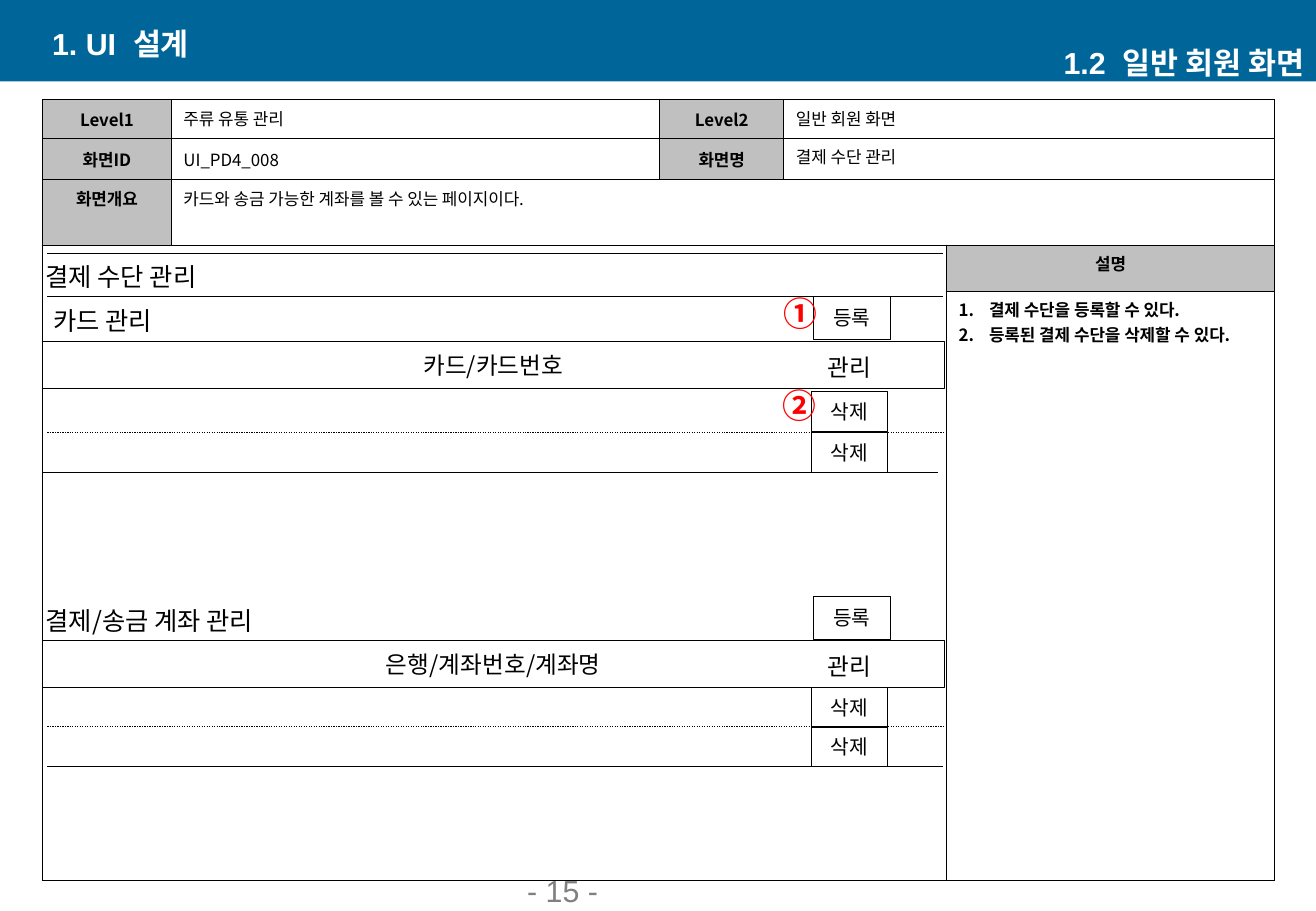
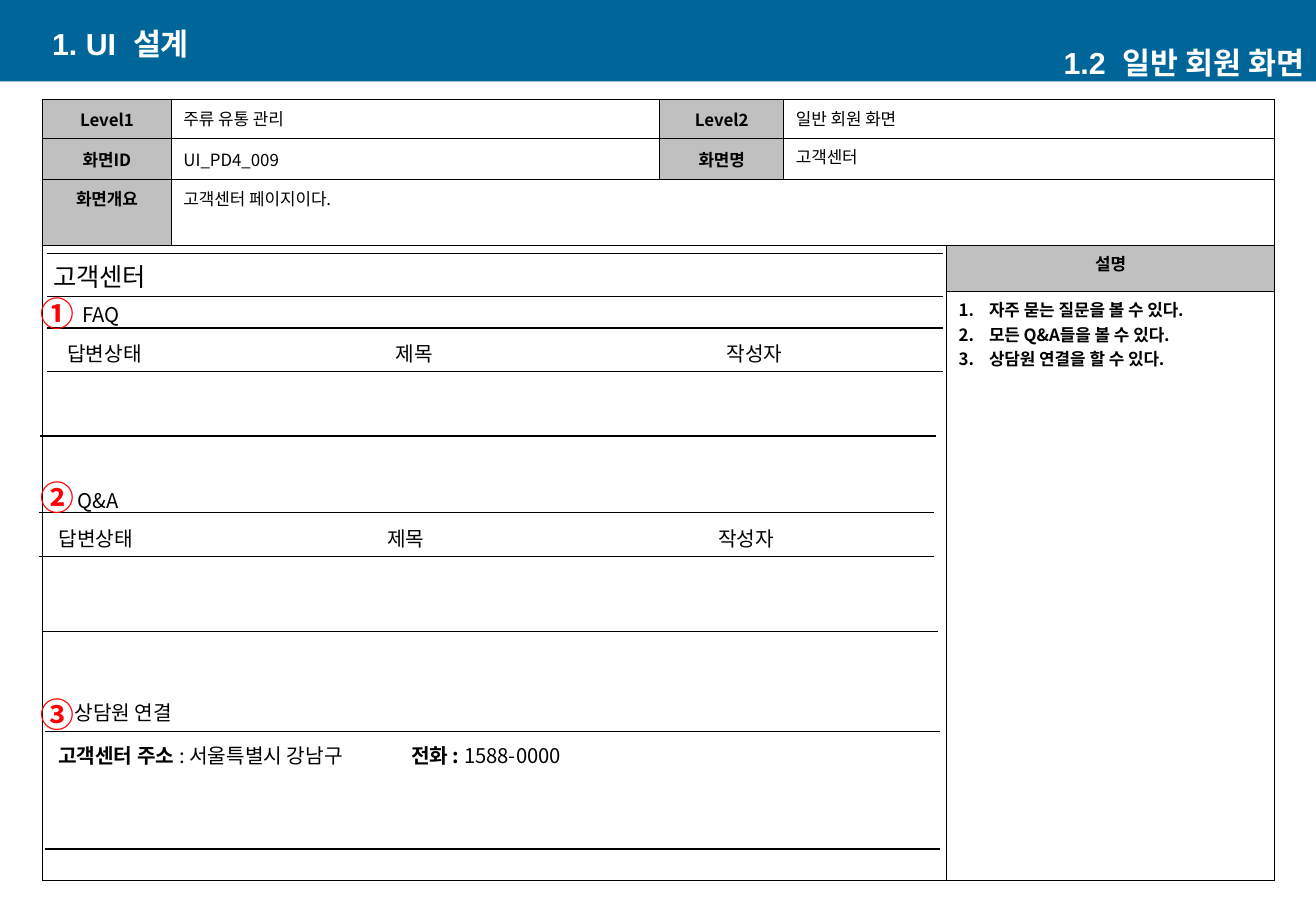
"""Build two screen-design slides that share a header band and a specification table."""
from dataclasses import dataclass

import pptx
from lxml import etree
from pptx import slide as sl
from pptx import table as tb
from pptx import util as u
from pptx.dml import color
from pptx.enum import dml, shapes, text
from pptx.oxml import ns
from pptx.shapes import autoshape
from pptx.text import text as tx

BLACK, WHITE, RED = "000000", "FFFFFF", "FF0000"
BAND, HEADING_FILL, PAGE_GREY = "006699", "C0C0C0", "808080"
KOREAN, LATIN = "Noto Sans CJK KR", "Arial"
SLIDE_WIDTH, SLIDE_HEIGHT = 10.83, 7.5
RULE_LENGTH = 7.37
COLUMN_WIDTHS = (1.06, 4.02, 1.02, 1.34, 2.70)
ROW_HEIGHTS = (0.32, 0.34, 0.54, 0.38, 4.85)
MERGES = (((0, 3), (0, 4)), ((1, 3), (1, 4)), ((2, 1), (2, 4)), ((3, 0), (4, 3)))
BOARD_COLUMNS = (("답변상태", -0.24), ("제목", 2.31), ("작성자", 5.11))
LEFT, CENTER, RIGHT = text.PP_ALIGN.LEFT, text.PP_ALIGN.CENTER, text.PP_ALIGN.RIGHT
TOP, MIDDLE, BOTTOM = text.MSO_ANCHOR.TOP, text.MSO_ANCHOR.MIDDLE, text.MSO_ANCHOR.BOTTOM


@dataclass(frozen=True)
class Run:
    """A stretch of text in one style."""
    content: str
    size: float = 10
    bold: bool = False
    colour: str = BLACK
    font: str = KOREAN
    spacing: int = 0


@dataclass(frozen=True)
class Box:
    """A rectangle in inches."""
    left: float
    top: float
    width: float
    height: float


@dataclass(frozen=True)
class Label:
    """Centred text in a box."""
    box: Box
    runs: tuple[Run, ...]


@dataclass(frozen=True)
class Rule:
    """A horizontal line across the mock-up."""
    left: float
    top: float
    dotted: bool = False


@dataclass(frozen=True)
class Specification:
    """The texts that differ between specification tables."""
    screen_id: str
    screen_name: str
    overview: str
    notes: tuple[str, ...]


@dataclass(frozen=True)
class PaymentSection:
    """A list of payment methods with its buttons."""
    register_top: float
    header_top: float
    header: str
    delete_tops: tuple[float, float]
    end_left: float


@dataclass(frozen=True)
class Board:
    """A list of posts between rules."""
    left: float
    top: float
    end: Rule


def rgb(value: str) -> color.RGBColor:
    """Turn a hex string into a colour."""
    return color.RGBColor.from_string(value)


def add_runs(paragraph: tx._Paragraph, runs: tuple[Run, ...]) -> None:
    """Append styled runs to a paragraph."""
    for item in runs:
        run = paragraph.add_run()
        run.text = item.content
        run.font.size = u.Pt(item.size)
        run.font.bold = item.bold
        run.font.color.rgb = rgb(item.colour)
        run.font.name = item.font
        properties = run._r.get_or_add_rPr()
        etree.SubElement(properties, ns.qn("a:ea"), typeface=KOREAN)
        if item.spacing:
            properties.set("spc", str(item.spacing))


def inches(box: Box) -> tuple[u.Inches, ...]:
    """Give the box as lengths."""
    return tuple(u.Inches(side) for side in (box.left, box.top, box.width, box.height))


def add_text(slide: sl.Slide, box: Box, runs: tuple[Run, ...],
             align: text.PP_ALIGN = CENTER, anchor: text.MSO_ANCHOR = TOP) -> None:
    """Place a text box."""
    frame = slide.shapes.add_textbox(*inches(box)).text_frame
    frame.word_wrap = True
    frame.vertical_anchor = anchor
    if align == CENTER:
        frame.margin_left = frame.margin_right = 0
    frame.paragraphs[0].alignment = align
    add_runs(frame.paragraphs[0], runs)


def add_rectangle(slide: sl.Slide, box: Box) -> autoshape.Shape:
    """Place an empty rectangle without shadow."""
    shape = slide.shapes.add_shape(shapes.MSO_SHAPE.RECTANGLE, *inches(box))
    shape.shadow.inherit = False
    return shape


def add_frame(slide: sl.Slide, box: Box, run: Run) -> None:
    """Place a thin outlined rectangle with centred text."""
    shape = add_rectangle(slide, box)
    shape.fill.background()
    shape.line.color.rgb = rgb(BLACK)
    shape.line.width = u.Pt(0.25)
    frame = shape.text_frame
    frame.vertical_anchor = MIDDLE
    frame.paragraphs[0].alignment = CENTER
    add_runs(frame.paragraphs[0], (run,))


def add_rule(slide: sl.Slide, rule: Rule) -> None:
    """Draw a horizontal line."""
    left, top = u.Inches(rule.left), u.Inches(rule.top)
    connector = slide.shapes.add_connector(
        shapes.MSO_CONNECTOR.STRAIGHT, left, top, left + u.Inches(RULE_LENGTH), top)
    connector.line.color.rgb = rgb(BLACK)
    connector.line.width = u.Pt(0.75)
    if rule.dotted:
        connector.line.dash_style = dml.MSO_LINE.ROUND_DOT
    etree.SubElement(connector._element.spPr, ns.qn("a:effectLst"))


def add_marker(slide: sl.Slide, left: float, top: float, number: str) -> None:
    """Place a red circled number."""
    add_text(slide, Box(left, top, 0.44, 0.44), (Run(number, 20, True, RED),))


def add_band(slide: sl.Slide, layout: sl.SlideLayout) -> None:
    """Draw the header band and move it to the layout."""
    band = add_rectangle(slide, Box(0, 0, SLIDE_WIDTH, 0.67))
    band.fill.solid()
    band.fill.fore_color.rgb = rgb(BAND)
    band.line.fill.background()
    layout.shapes._spTree.append(band._element)


def add_titles(slide: sl.Slide) -> None:
    """Write the chapter and section titles on the band."""
    titles = ((0.33, 0.19, "1. UI", "설계", LEFT), (6.45, 0.35, "1.2", "일반 회원 화면", RIGHT))
    for left, top, number, words, align in titles:
        runs = (Run(number, 18, True, WHITE, LATIN), Run(" ", 18, True, WHITE, LATIN, 500),
                Run(words, 18, True, WHITE, LATIN))
        add_text(slide, Box(left, top, 4.38, 0.33), runs, align, MIDDLE)


def style_cell(cell: tb._Cell, filled: bool) -> None:
    """Set the fill and black borders of a cell."""
    if filled:
        cell.fill.solid()
        cell.fill.fore_color.rgb = rgb(HEADING_FILL)
    else:
        cell.fill.background()
    properties = cell._tc.get_or_add_tcPr()
    for index, side in enumerate(("lnL", "lnR", "lnT", "lnB")):
        border = etree.Element(ns.qn(f"a:{side}"), w=str(u.Pt(1)))
        fill = etree.SubElement(border, ns.qn("a:solidFill"))
        etree.SubElement(fill, ns.qn("a:srgbClr"), val=BLACK)
        properties.insert(index, border)


def add_specification(slide: sl.Slide, specification: Specification) -> None:
    """Draw the specification table."""
    box = Box(0.35, 0.82, sum(COLUMN_WIDTHS), sum(ROW_HEIGHTS))
    table = slide.shapes.add_table(len(ROW_HEIGHTS), len(COLUMN_WIDTHS), *inches(box)).table
    table.first_row = table.horz_banding = False
    for column, width in zip(table.columns, COLUMN_WIDTHS):
        column.width = u.Inches(width)
    for row, height in zip(table.rows, ROW_HEIGHTS):
        row.height = u.Inches(height)

    headings = {(0, 0): "Level1", (0, 2): "Level2", (1, 0): "화면ID", (1, 2): "화면명",
                (2, 0): "화면개요", (3, 4): "설명"}
    values = {(0, 1): "주류 유통 관리", (0, 3): "일반 회원 화면",
              (1, 1): specification.screen_id, (1, 3): specification.screen_name,
              (2, 1): specification.overview}
    for row in range(len(ROW_HEIGHTS)):
        for column in range(len(COLUMN_WIDTHS)):
            style_cell(table.cell(row, column), (row, column) in headings)
    for start, end in MERGES:
        table.cell(*start).merge(table.cell(*end))
    for place, content in (headings | values).items():
        cell = table.cell(*place)
        is_heading = place in headings
        centred = place == (1, 1) or (is_heading and place[0] < 2)
        cell.vertical_anchor = MIDDLE if centred else TOP
        paragraph = cell.text_frame.paragraphs[0]
        paragraph.alignment = CENTER if is_heading else LEFT
        add_runs(paragraph, (Run(content, bold=is_heading),))

    frame = table.cell(4, 4).text_frame
    for index, note in enumerate(specification.notes):
        paragraph = frame.add_paragraph() if index else frame.paragraphs[0]
        properties = paragraph._p.get_or_add_pPr()
        properties.set("marL", str(u.Inches(0.25)))
        properties.set("indent", str(-u.Inches(0.25)))
        etree.SubElement(properties, ns.qn("a:buAutoNum"), type="arabicPeriod")
        add_runs(paragraph, (Run(note, bold=True),))


def add_payment_section(slide: sl.Slide, section: PaymentSection) -> None:
    """Draw a payment list with its register and delete buttons."""
    add_frame(slide, Box(0.35, section.header_top, 7.42, 0.39), Run(section.header, 14))
    add_text(slide, Box(6.28, section.header_top + 0.05, 1.42, 0.34), (Run("관리", 14),))
    add_frame(slide, Box(6.69, section.register_top, 0.64, 0.35), Run("등록", 12))
    for top in section.delete_tops:
        add_frame(slide, Box(6.68, top, 0.62, 0.33), Run("삭제", 12))
    last = section.delete_tops[-1]
    add_rule(slide, Rule(0.39, last, True))
    add_rule(slide, Rule(section.end_left, last + 0.33))


def add_board(slide: sl.Slide, board: Board) -> None:
    """Draw the column heads and rules of a post list."""
    for rule in (Rule(board.left, board.top), Rule(board.left, board.top + 0.36), board.end):
        add_rule(slide, rule)
    for name, offset in BOARD_COLUMNS:
        add_text(slide, Box(board.left + offset, board.top + 0.06, 1.42, 0.3), (Run(name, 12),))


def add_screen(slide: sl.Slide, specification: Specification, labels: tuple[Label, ...]) -> None:
    """Draw what every screen has, then its labels."""
    add_titles(slide)
    add_specification(slide, specification)
    for top in (2.09, 2.44):
        add_rule(slide, Rule(0.39, top))
    for label in labels:
        add_text(slide, label.box, label.runs)


def build_payment(slide: sl.Slide) -> None:
    """Build the payment method screen."""
    add_screen(slide, Specification(
        "UI_PD4_008", "결제 수단 관리", "카드와 송금 가능한 계좌를 볼 수 있는 페이지이다.",
        ("결제 수단을 등록할 수 있다.", "등록된 결제 수단을 삭제할 수 있다.")), (
        Label(Box(0.15, 2.1, 1.69, 0.35), (Run("결제 수단 관리", 15),)),
        Label(Box(0.32, 2.46, 1.05, 0.35), (Run("카드 관리", 15),)),
        Label(Box(0.2, 4.93, 2.06, 0.35), (Run("결제/송금 계좌 관리", 15),))))
    add_payment_section(slide, PaymentSection(2.44, 2.81, "카드/카드번호", (3.22, 3.56), 0.35))
    add_payment_section(
        slide, PaymentSection(4.91, 5.27, "은행/계좌번호/계좌명", (5.66, 5.98), 0.39))
    add_marker(slide, 6.37, 2.36, "①")
    add_marker(slide, 6.36, 3.12, "②")
    add_text(slide, Box(4.24, 7.3, 2.26, 0.23),
             (Run("- 15 -", 18, colour=PAGE_GREY, font=LATIN),), LEFT, BOTTOM)


def build_support(slide: sl.Slide) -> None:
    """Build the customer centre screen."""
    add_screen(slide, Specification(
        "UI_PD4_009", "고객센터", "고객센터 페이지이다.",
        ("자주 묻는 질문을 볼 수 있다.", "모든 Q&A들을 볼 수 있다.", "상담원 연결을 할 수 있다.")), (
        Label(Box(0.11, 2.1, 1.42, 0.35), (Run("고객센터", 15),)),
        Label(Box(0.44, 2.44, 0.78, 0.3), (Run("FAQ", 12),)),
        Label(Box(0.47, 3.97, 0.68, 0.31), (Run("Q&A", 12),)),
        Label(Box(0.5, 5.72, 1.03, 0.3), (Run("상담원 연결", 12),)),
        Label(Box(0.25, 6.07, 2.8, 0.3),
              (Run("고객센터 주소 ", 12, True), Run(": 서울특별시 강남구", 12))),
        Label(Box(2.6, 6.07, 2.8, 0.3), (Run("전화 : ", 12, True), Run("1588-0000", 12)))))
    add_board(slide, Board(0.39, 2.7, Rule(0.33, 3.59)))
    add_board(slide, Board(0.32, 4.22, Rule(0.35, 5.2)))
    for top in (6.02, 6.99):
        add_rule(slide, Rule(0.37, top))
    for number, top in (("①", 2.36), ("②", 3.88), ("③", 5.66)):
        add_marker(slide, 0.25, top, number)


def main() -> None:
    """Build and save the presentation."""
    presentation = pptx.Presentation()
    presentation.slide_width = u.Inches(SLIDE_WIDTH)
    presentation.slide_height = u.Inches(SLIDE_HEIGHT)
    blank = presentation.slide_layouts[6]
    payment, support = (presentation.slides.add_slide(blank) for _ in range(2))
    add_band(payment, blank)
    build_payment(payment)
    build_support(support)
    presentation.save("out.pptx")


if __name__ == "__main__":
    main()
